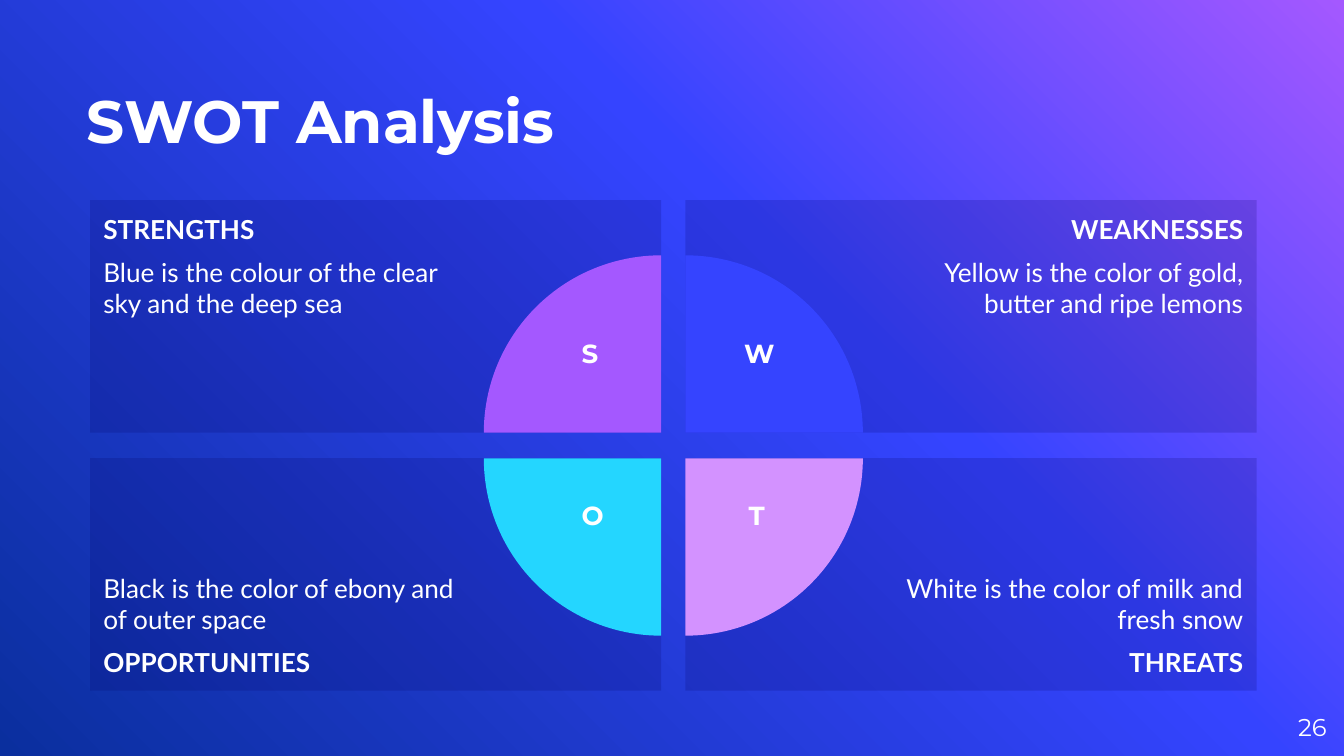
from copy import deepcopy

from lxml.etree import SubElement
from pptx import Presentation
from pptx.dml.color import RGBColor as Rgb
from pptx.enum.shapes import MSO_SHAPE as Kind
from pptx.enum.text import MSO_ANCHOR as Anchor, PP_ALIGN as Align
from pptx.oxml.ns import qn
from pptx.util import Inches, Pt

WIDE = 10
HIGH = WIDE * 9 / 16
HUES = {"white": "FFFFFF", "panel": "050060", "purple": "A458FF",
        "blue": "3544FF", "navy": "0A2F9E", "pink": "D392FF", "cyan": "24D6FF"}
HEAD, BODY = "Montserrat", "Lato"

# Grid of two columns and two rows
LEFT, TOP = 0.67, 1.49
CELL_W, CELL_H = 4.25, 1.73
GAP_X, GAP_Y = 0.18, 0.19
PIE = 2.64
RISE = 0.51  # from the inner corner of a panel up or down to its letter

# column, row, letter, sideways reach, heading, text, pie colour, pie turn
PARTS = [
    (0, 0, "S", 0.53, "STRENGTHS",
     "Blue is the colour of the clear sky and the deep sea", "purple", 0),
    (1, 0, "W", 0.55, "WEAKNESSES",
     "Yellow is the color of gold, butter and ripe lemons", "blue", 90),
    (1, 1, "T", 0.53, "THREATS",
     "White is the color of milk and fresh snow", "pink", 180),
    (0, 1, "O", 0.51, "OPPORTUNITIES",
     "Black is the color of ebony and of outer space", "cyan", 270),
]


def hue(name):
    return Rgb.from_string(HUES[name])


def style(para, size, face, bold=False, align=Align.LEFT):
    para.alignment = align
    for run in para.runs:
        font = run.font
        font.size, font.name, font.bold = Pt(size), face, bold
        font.color.rgb = hue("white")


def set_pad(frame, left, top, right, bottom):
    frame.margin_left, frame.margin_top = Inches(left), Inches(top)
    frame.margin_right, frame.margin_bottom = Inches(right), Inches(bottom)


def add_label(slide, box, text, size, bold, align, anchor, pad):
    label = slide.shapes.add_textbox(*map(Inches, box))
    frame = label.text_frame
    frame.word_wrap, frame.vertical_anchor = True, anchor
    set_pad(frame, *pad)
    frame.text = text
    style(frame.paragraphs[0], size, HEAD, bold, align)


def add_plain(slide, kind, box, color):
    """Add a shape with a flat fill, no line and no shadow."""
    shape = slide.shapes.add_shape(kind, *map(Inches, box))
    shape.shadow.inherit = False
    shape.fill.solid()
    shape.fill.fore_color.rgb = hue(color)
    shape.line.fill.background()
    return shape


def add_back(slide):
    fill = slide.background.fill
    fill.gradient()
    fill.gradient_angle = 225
    stops = next(slide.element.iter(qn("a:gsLst")))
    stops.append(deepcopy(stops[0]))
    marks = [("purple", 0), ("blue", 0.39), ("navy", 1)]
    for stop, (name, place) in zip(fill.gradient_stops, marks):
        stop.color.rgb, stop.position = hue(name), place


def add_panel(slide, box, col, row, head, text):
    panel = add_plain(slide, Kind.RECTANGLE, box, "panel")
    tint = next(panel.element.iter(qn("a:srgbClr")))
    SubElement(tint, qn("a:alpha")).set("val", "18000")
    frame = panel.text_frame
    frame.word_wrap = True
    frame.vertical_anchor = Anchor.BOTTOM if row else Anchor.TOP
    set_pad(frame, *((1.5, 0.1, 0.1, 0.1) if col else (0.1, 0.1, 1.5, 0.1)))
    lines = [text, head] if row else [head, text]
    frame.text = "\n".join(lines)
    for para, line in zip(frame.paragraphs, lines):
        style(para, 14, BODY, line == head, Align.RIGHT if col else Align.LEFT)
    last = frame.paragraphs[-1]
    last.space_before = last.space_after = Pt(6)


def add_wedge(slide, x, y, color, turn):
    """Add a quarter disc with its point at x, y."""
    box = (x - PIE / 2, y - PIE / 2, PIE, PIE)
    wedge = add_plain(slide, Kind.PIE, box, color)
    wedge.adjustments[0], wedge.adjustments[1] = 108, 162
    wedge.rotation = turn


def add_part(slide, col, row, letter, reach, head, text, color, turn):
    x = LEFT + col * (CELL_W + GAP_X)
    y = TOP + row * (CELL_H + GAP_Y)
    add_panel(slide, (x, y, CELL_W, CELL_H), col, row, head, text)
    tip_x = x + (1 - col) * CELL_W
    tip_y = y + (1 - row) * CELL_H
    add_wedge(slide, tip_x, tip_y, color, turn)
    mid_x = tip_x + (2 * col - 1) * reach
    mid_y = tip_y + (2 * row - 1) * RISE
    add_label(slide, (mid_x - 0.25, mid_y - 0.25, 0.5, 0.5), letter, 14, True,
              Align.CENTER, Anchor.TOP, (0.05, 0.05, 0.05, 0.05))


def main():
    deck = Presentation()
    deck.slide_width, deck.slide_height = Inches(WIDE), Inches(HIGH)
    slide = deck.slides.add_slide(deck.slide_layouts[6])
    add_back(slide)
    none = (0, 0, 0, 0)
    add_label(slide, (0.64, 0.23, 6.58, 0.93), "SWOT Analysis", 32, True,
              Align.LEFT, Anchor.BOTTOM, none)
    add_label(slide, (WIDE - 0.73, HIGH - 0.43, 0.6, 0.43), "26", 13, False,
              Align.RIGHT, Anchor.MIDDLE, none)
    for part in PARTS:
        add_part(slide, *part)
    deck.save("out.pptx")


if __name__ == "__main__":
    main()
